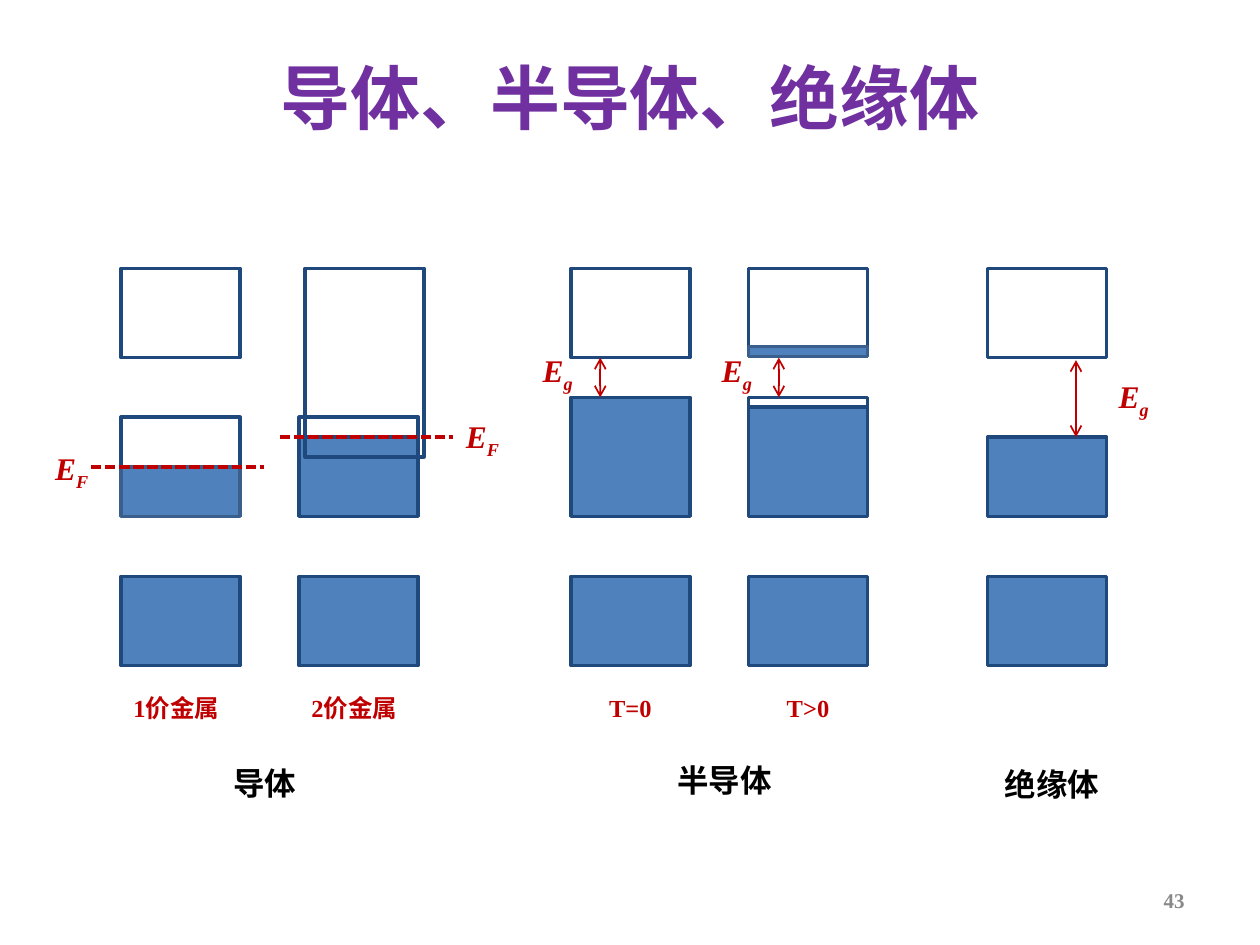
"""Draw the energy bands of conductors, semiconductors and insulators."""
from dataclasses import dataclass

from lxml import etree
from pptx import Presentation
from pptx.dml.color import RGBColor
from pptx.enum.dml import MSO_LINE
from pptx.enum.shapes import MSO_CONNECTOR, MSO_SHAPE
from pptx.enum.text import MSO_ANCHOR, MSO_AUTO_SIZE, PP_ALIGN
from pptx.oxml.ns import qn
from pptx.shapes.connector import Connector
from pptx.slide import Slide
from pptx.text.text import Font
from pptx.util import Cm, Pt

RECT = MSO_SHAPE.RECTANGLE
STRAIGHT = MSO_CONNECTOR.STRAIGHT
DASH = MSO_LINE.SQUARE_DOT
MIDDLE = MSO_ANCHOR.MIDDLE
GROW = MSO_AUTO_SIZE.SHAPE_TO_FIT_TEXT
FIXED = MSO_AUTO_SIZE.NONE
LEFT, CENTER, RIGHT = PP_ALIGN.LEFT, PP_ALIGN.CENTER, PP_ALIGN.RIGHT


@dataclass(frozen=True)
class Theme:
    """Font, colours and point sizes."""
    face: str = "Times New Roman"
    title: str = "7030A0"
    mark: str = "C00000"
    text: str = "000000"
    page: str = "898989"
    full: str = "4F81BD"
    bare: str = "FFFFFF"
    edge: str = "1F497D"
    soft: str = "3A5F8C"
    head: int = 40
    body: int = 18
    note: int = 14
    foot: int = 12
    thick: int = 2
    thin: int = 1


THEME = Theme()
WIDE = 2.4
ONE, TWO, COLD, WARM, GAP = 2.44, 6.03, 11.51, 15.09, 19.91


@dataclass(frozen=True)
class Band:
    """A band box from top to base, in cm; no fill means clear."""
    left: float
    top: float
    base: float
    fill: str | None = THEME.full
    edge: str = THEME.edge


@dataclass(frozen=True)
class Label:
    """A text box with its place in cm, and an optional subscript."""
    text: str
    left: float
    top: float
    width: float
    size: int
    color: str
    align: PP_ALIGN = CENTER
    sub: str = ""


BANDS = [
    *(Band(x, 5.41, 7.21, THEME.bare) for x in (ONE, COLD, GAP)),
    *(Band(x, 11.62, 13.42) for x in (ONE, TWO, COLD, WARM, GAP)),
    Band(ONE, 8.41, 9.41, THEME.bare),
    Band(ONE, 9.41, 10.41, edge=THEME.soft),
    Band(TWO, 8.81, 10.41),
    Band(TWO, 8.41, 8.81, THEME.bare),
    Band(6.15, 5.41, 9.21, None),
    Band(COLD, 8.01, 10.41),
    Band(WARM, 8.21, 10.41),
    Band(WARM, 5.41, 6.99, THEME.bare),
    Band(WARM, 8.01, 8.21, THEME.bare),
    Band(WARM, 6.99, 7.19, edge=THEME.soft),
    Band(GAP, 8.81, 10.41),
]
LEVELS = [(1.83, 9.41), (5.64, 8.81)]
GAPS = [(12.1, 7.21, 8.01), (15.7, 7.21, 8.01), (21.69, 7.26, 8.81)]
SIGNS = [("F", 0.86, 8.92), ("F", 9.14, 8.28), ("g", 10.69, 6.96),
         ("g", 14.3, 6.96), ("g", 22.3, 7.47)]
NOTES = [("1价金属", ONE, LEFT), ("2价金属", TWO, LEFT),
         ("T=0", COLD, CENTER), ("T>0", WARM, CENTER)]
KINDS = [("导体", 4.04, 15.27), ("半导体", 13.31, 15.21), ("绝缘体", 19.91, 15.29)]
LABELS = [
    *(Label("E", x, y, 1.2, THEME.body, THEME.mark, LEFT, sub) for sub, x, y in SIGNS),
    *(Label(text, x, 13.85, WIDE, THEME.note, THEME.mark, align) for text, x, align in NOTES),
    *(Label(text, x, y, 2.6, THEME.body, THEME.text) for text, x, y in KINDS),
]
PAGE = Label("43", 18.2, 17.65, 5.93, THEME.foot, THEME.page, RIGHT)


def style(font: Font, size: int, color: str) -> None:
    """Apply the bold theme face with a size and colour."""
    font.name, font.size, font.bold = THEME.face, Pt(size), True
    font.color.rgb = RGBColor.from_string(color)


def draw_band(slide: Slide, band: Band) -> None:
    """Draw one band box."""
    box = slide.shapes.add_shape(RECT, Cm(band.left), Cm(band.top),
                                 Cm(WIDE), Cm(band.base - band.top))
    box.shadow.inherit = False
    if band.fill:
        box.fill.solid()
        box.fill.fore_color.rgb = RGBColor.from_string(band.fill)
    else:
        box.fill.background()
    box.line.color.rgb = RGBColor.from_string(band.edge)
    box.line.width = Pt(THEME.thick)


def draw_line(slide: Slide, x: float, y: float, end_x: float, end_y: float,
              width: int) -> Connector:
    """Draw a plain line in the mark colour."""
    line = slide.shapes.add_connector(STRAIGHT, Cm(x), Cm(y), Cm(end_x), Cm(end_y))
    line.line.color.rgb = RGBColor.from_string(THEME.mark)
    line.line.width = Pt(width)
    etree.SubElement(line._element.spPr, qn("a:effectLst"))
    return line


def draw_level(slide: Slide, x: float, y: float) -> None:
    """Draw a dashed Fermi level."""
    draw_line(slide, x, y, x + 3.5, y, THEME.thick).line.dash_style = DASH


def draw_gap(slide: Slide, x: float, top: float, base: float) -> None:
    """Draw a double arrow across a band gap."""
    line = draw_line(slide, x, top, x, base, THEME.thin)
    for end in ("a:headEnd", "a:tailEnd"):
        etree.SubElement(line.line._get_or_add_ln(), qn(end), type="arrow")


def draw_label(slide: Slide, label: Label, grow: bool = True) -> None:
    """Draw one label, its subscript set low."""
    box = slide.shapes.add_textbox(Cm(label.left), Cm(label.top), Cm(label.width), Cm(1.01))
    frame = box.text_frame
    frame.word_wrap = not label.sub
    frame.auto_size = GROW if grow else FIXED
    if not grow:
        frame.vertical_anchor = MIDDLE
    para = frame.paragraphs[0]
    para.alignment = label.align
    style(para.font, label.size, label.color)
    para.add_run().text = label.text
    if label.sub:
        para.font.italic = True
        low = para.add_run()
        low.text = label.sub
        low._r.get_or_add_rPr().set("baseline", "-25000")


def draw_title(slide: Slide, text: str) -> None:
    """Fill and place the title."""
    title = slide.shapes.title
    title.left, title.top, title.width, title.height = Cm(1.27), Cm(0.76), Cm(22.86), Cm(2.36)
    title.text_frame.text = text
    title.text_frame.vertical_anchor = MIDDLE
    para = title.text_frame.paragraphs[0]
    para.alignment = CENTER
    style(para.font, THEME.head, THEME.title)


def main() -> None:
    """Build and save the slide."""
    deck = Presentation()
    deck.slide_width, deck.slide_height = Cm(25.4), Cm(19.05)
    slide = deck.slides.add_slide(deck.slide_layouts[5])
    draw_title(slide, "导体、半导体、绝缘体")
    for band in BANDS:
        draw_band(slide, band)
    for level in LEVELS:
        draw_level(slide, *level)
    for gap in GAPS:
        draw_gap(slide, *gap)
    for label in LABELS:
        draw_label(slide, label)
    draw_label(slide, PAGE, grow=False)
    deck.save("out.pptx")


if __name__ == "__main__":
    main()
